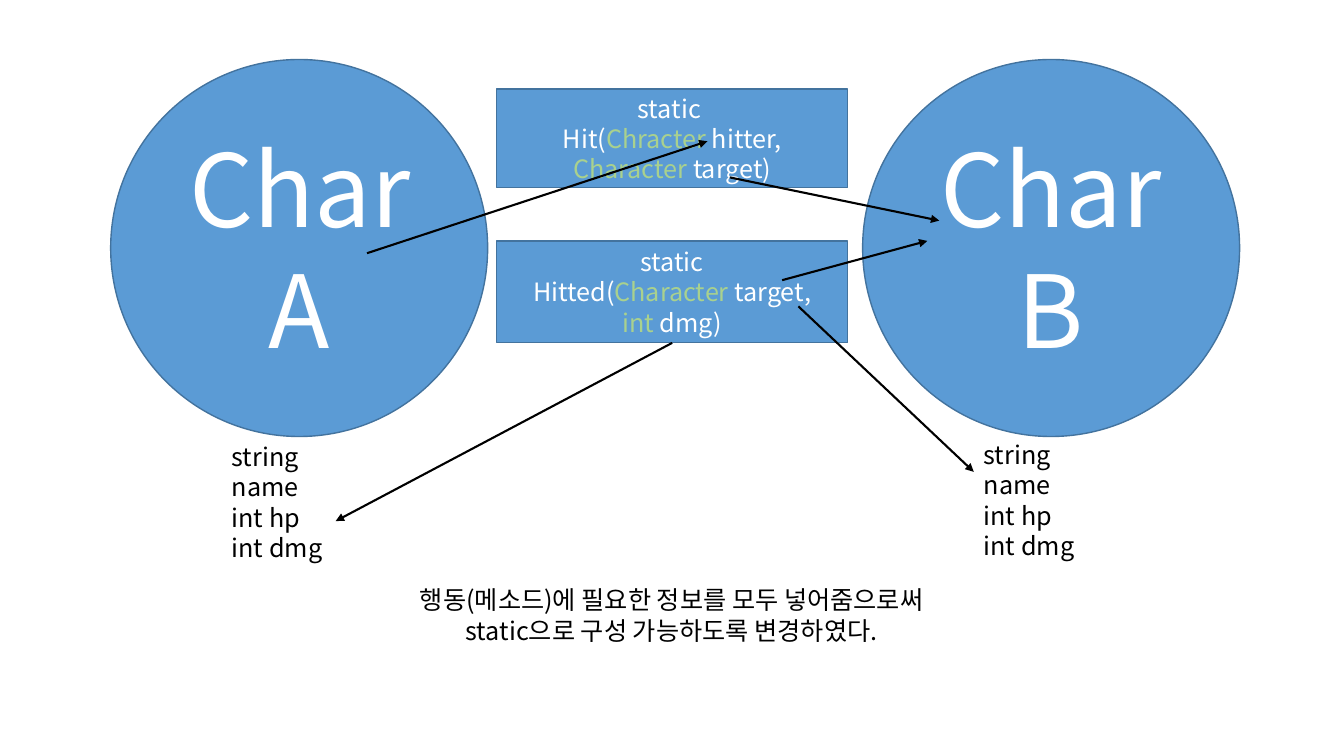
from lxml import etree
from pptx import Presentation
from pptx.dml.color import RGBColor
from pptx.enum import shapes, text
from pptx.oxml import ns
from pptx.util import Cm, Pt

FONT = "Noto Sans CJK KR"
BLUE = RGBColor(0x5B, 0x9B, 0xD5)
DARK_BLUE = RGBColor(0x43, 0x73, 0x9E)
GREEN = RGBColor(0xA9, 0xD1, 0x8E)
WHITE = RGBColor(0xFF, 0xFF, 0xFF)
BLACK = RGBColor(0, 0, 0)


def write(shape, paragraphs, size=18, color=BLACK, align=text.PP_ALIGN.LEFT,
          anchor=text.MSO_ANCHOR.TOP):
    """Fill a shape; each paragraph is a list of (text, color or None) runs."""
    frame = shape.text_frame
    frame.word_wrap = True
    frame.vertical_anchor = anchor
    for index, runs in enumerate(paragraphs):
        paragraph = frame.add_paragraph() if index else frame.paragraphs[0]
        paragraph.alignment = align
        paragraph.line_spacing = Pt(size * 1.2)
        for content, run_color in runs:
            for number, line in enumerate(content.split("\n")):
                if number:
                    paragraph.add_line_break()
                if not line:
                    continue
                run = paragraph.add_run()
                run.text = line
                run.font.size = Pt(size)
                run.font.name = FONT
                run.font.color.rgb = run_color or color
                east_asian = etree.SubElement(run.font._element, ns.qn("a:ea"))
                east_asian.set("typeface", FONT)


def add_blue_shape(kind, left, top, width, height, runs, size=18):
    shape = slide.shapes.add_shape(kind, Cm(left), Cm(top), Cm(width), Cm(height))
    shape.shadow.inherit = False
    shape.fill.solid()
    shape.fill.fore_color.rgb = BLUE
    shape.line.color.rgb = DARK_BLUE
    shape.line.width = Pt(1)
    write(shape, [runs], size=size, color=WHITE, align=text.PP_ALIGN.CENTER,
          anchor=text.MSO_ANCHOR.MIDDLE)


presentation = Presentation()
presentation.slide_width = Cm(33.87)
presentation.slide_height = Cm(19.05)
slide = presentation.slides.add_slide(presentation.slide_layouts[6])

# Characters with their fields
characters = [("CharA", 2.79, 5.59, 11), ("CharB", 21.74, 24.54, 10.95)]
for name, left, fields_left, fields_top in characters:
    add_blue_shape(shapes.MSO_SHAPE.OVAL, left, 1.5, 9.5, 9.5, [(name, None)], size=72)
    fields = slide.shapes.add_textbox(Cm(fields_left), Cm(fields_top), Cm(3.95), Cm(2.57))
    write(fields, [[(field, None)] for field in ("string name", "int hp", "int dmg")])

# Static methods
methods = [
    (2.24, 2.49, [("static \nHit(", None), ("Chracter", GREEN), (" hitter,\n", None),
                  ("Character", GREEN), (" target)", None)]),
    (6.07, 2.57, [("static\nHitted(", None), ("Character", GREEN), (" target,\n", None),
                  ("int ", GREEN), ("dmg)", None)]),
]
for top, height, signature in methods:
    add_blue_shape(shapes.MSO_SHAPE.RECTANGLE, 12.52, top, 8.84, height, signature)

# Explanation
explanation = slide.shapes.add_textbox(Cm(0.58), Cm(14.61), Cm(32.69), Cm(1.8))
write(explanation, [[("행동(메소드)에 필요한 정보를 모두 넣어줌으로써\n"
                      "static으로 구성 가능하도록 변경하였다.", None)]],
      align=text.PP_ALIGN.CENTER)

# Arrows between characters, parameters and fields
arrows = [
    (9.25, 6.38, 17.83, 3.56),
    (18.39, 4.47, 23.67, 5.56),
    (19.71, 7.06, 23.37, 6.07),
    (20.12, 7.72, 24.54, 11.89),
    (16.94, 8.64, 8.46, 13.13),
]
for ends in arrows:
    arrow = slide.shapes.add_connector(shapes.MSO_CONNECTOR.STRAIGHT,
                                       *[Cm(value) for value in ends])
    arrow.line.color.rgb = BLACK
    arrow.line.width = Pt(1.5)
    properties = arrow._element.spPr
    head = etree.SubElement(properties.find(ns.qn("a:ln")), ns.qn("a:tailEnd"))
    head.set("type", "triangle")
    etree.SubElement(properties, ns.qn("a:effectLst"))

presentation.save("out.pptx")
